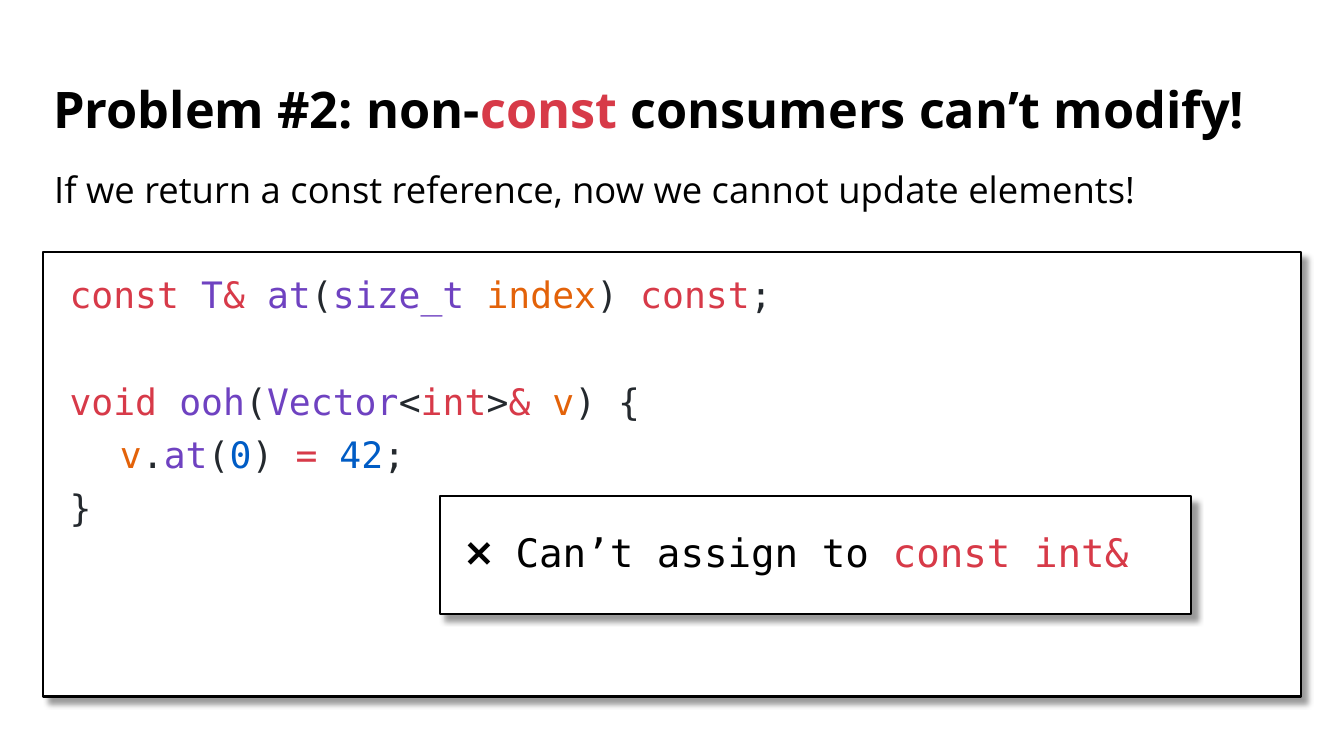
from dataclasses import dataclass

from lxml import etree
from pptx import Presentation
from pptx.dml.color import RGBColor
from pptx.enum.shapes import MSO_SHAPE
from pptx.enum.text import MSO_ANCHOR, PP_ALIGN
from pptx.oxml.ns import qn
from pptx.util import Emu, Pt

RECTANGLE = MSO_SHAPE.RECTANGLE
TOP = MSO_ANCHOR.TOP
MIDDLE = MSO_ANCHOR.MIDDLE
LEFT = PP_ALIGN.LEFT

PX = 9144
SANS = "Open Sans"
MONO = "DejaVu Sans Mono"

BLACK = "000000"
WHITE = "FFFFFF"
ACCENT = "D73A48"
KEYWORD = "D73A49"
NAME = "6F42C1"
VARIABLE = "E36209"
NUMBER = "005CC5"
PLAIN = "24292E"


@dataclass(frozen=True)
class Token:
    text: str
    color: str


@dataclass(frozen=True)
class Line:
    tokens: list[Token]
    indent: int = 1
    space_before: int = 10


@dataclass(frozen=True)
class Block:
    left: int
    top: int
    width: int
    height: int
    lines: list[Line]
    size: int
    font: str
    spacing: float = 0.9
    anchor: MSO_ANCHOR = TOP
    bold: bool = False
    boxed: bool = False


BLOCKS = [
    Block(43, 69, 1247, 84, [
        Line([Token("Problem #2: non-", BLACK), Token("const", ACCENT),
              Token(" consumers can’t modify!", BLACK)], indent=0, space_before=0),
    ], 36, SANS, anchor=MIDDLE, bold=True),
    Block(43, 250, 1247, 441, [
        Line([Token("const ", KEYWORD), Token("T", NAME), Token("& ", KEYWORD),
              Token("at", NAME), Token("(", PLAIN), Token("size_t ", NAME),
              Token("index", VARIABLE), Token(") ", PLAIN),
              Token("const", KEYWORD), Token(";", PLAIN)]),
        Line([Token("void ", KEYWORD), Token("ooh", NAME), Token("(", PLAIN),
              Token("Vector", NAME), Token("<", PLAIN), Token("int", KEYWORD),
              Token(">", PLAIN), Token("& ", KEYWORD), Token("v", VARIABLE),
              Token(") {", PLAIN)], space_before=48),
        Line([Token("v", VARIABLE), Token(".", PLAIN), Token("at", NAME),
              Token("(", PLAIN), Token("0", NUMBER), Token(") ", PLAIN),
              Token("= ", KEYWORD), Token("42", NUMBER), Token(";", PLAIN)],
             indent=51),
        Line([Token("}", PLAIN)]),
    ], 26, MONO, boxed=True),
    Block(43, 169, 1247, 47, [
        Line([Token("If we return a const reference, now we cannot update elements!",
                    BLACK)]),
    ], 26, SANS, spacing=0.8),
    Block(436, 492, 745, 117, [
        Line([Token("❌ Can’t assign to ", BLACK), Token("const int&", ACCENT)]),
    ], 28, MONO, anchor=MIDDLE, boxed=True),
]


def px(value: int) -> Emu:
    return Emu(value * PX)


def rgb(color: str) -> RGBColor:
    return RGBColor.from_string(color)


def style_box(sp) -> None:
    sp.fill.solid()
    sp.fill.fore_color.rgb = rgb(WHITE)
    sp.line.color.rgb = rgb(BLACK)
    sp.line.width = Pt(1.5)
    sp.shadow.inherit = False
    effects = sp._element.spPr.find(qn("a:effectLst"))
    shadow = etree.SubElement(effects, qn("a:outerShdw"), blurRad=str(Pt(4)),
                              dist=str(Pt(6)), dir=str(45 * 60000),
                              algn="tl", rotWithShape="0")
    color = etree.SubElement(shadow, qn("a:srgbClr"), val=BLACK)
    etree.SubElement(color, qn("a:alpha"), val="40000")


def write_line(p, line: Line, block: Block) -> None:
    p.alignment = LEFT
    p.line_spacing = block.spacing
    p.space_before = Pt(line.space_before)
    p_pr = p._p.get_or_add_pPr()
    p_pr.set("marL", str(px(line.indent)))
    p_pr.set("indent", "0")
    for token in line.tokens:
        r = p.add_run()
        r.text = token.text
        r.font.size = Pt(block.size)
        r.font.name = block.font
        r.font.bold = block.bold
        r.font.color.rgb = rgb(token.color)


def draw_block(s, block: Block) -> None:
    frame = [px(v) for v in (block.left, block.top, block.width, block.height)]
    if block.boxed:
        sp = s.shapes.add_shape(RECTANGLE, *frame)
        style_box(sp)
    else:
        sp = s.shapes.add_textbox(*frame)
    tf = sp.text_frame
    tf.word_wrap = True
    tf.vertical_anchor = block.anchor
    if block.boxed:
        tf.margin_left = tf.margin_right = px(25)
        tf.margin_top = tf.margin_bottom = px(25)
    for i, line in enumerate(block.lines):
        p = tf.add_paragraph() if i else tf.paragraphs[0]
        write_line(p, line, block)


def main() -> None:
    prs = Presentation()
    prs.slide_width = px(1333)
    prs.slide_height = px(750)
    s = prs.slides.add_slide(prs.slide_layouts[6])
    for block in BLOCKS:
        draw_block(s, block)
    prs.save("out.pptx")


if __name__ == "__main__":
    main()
